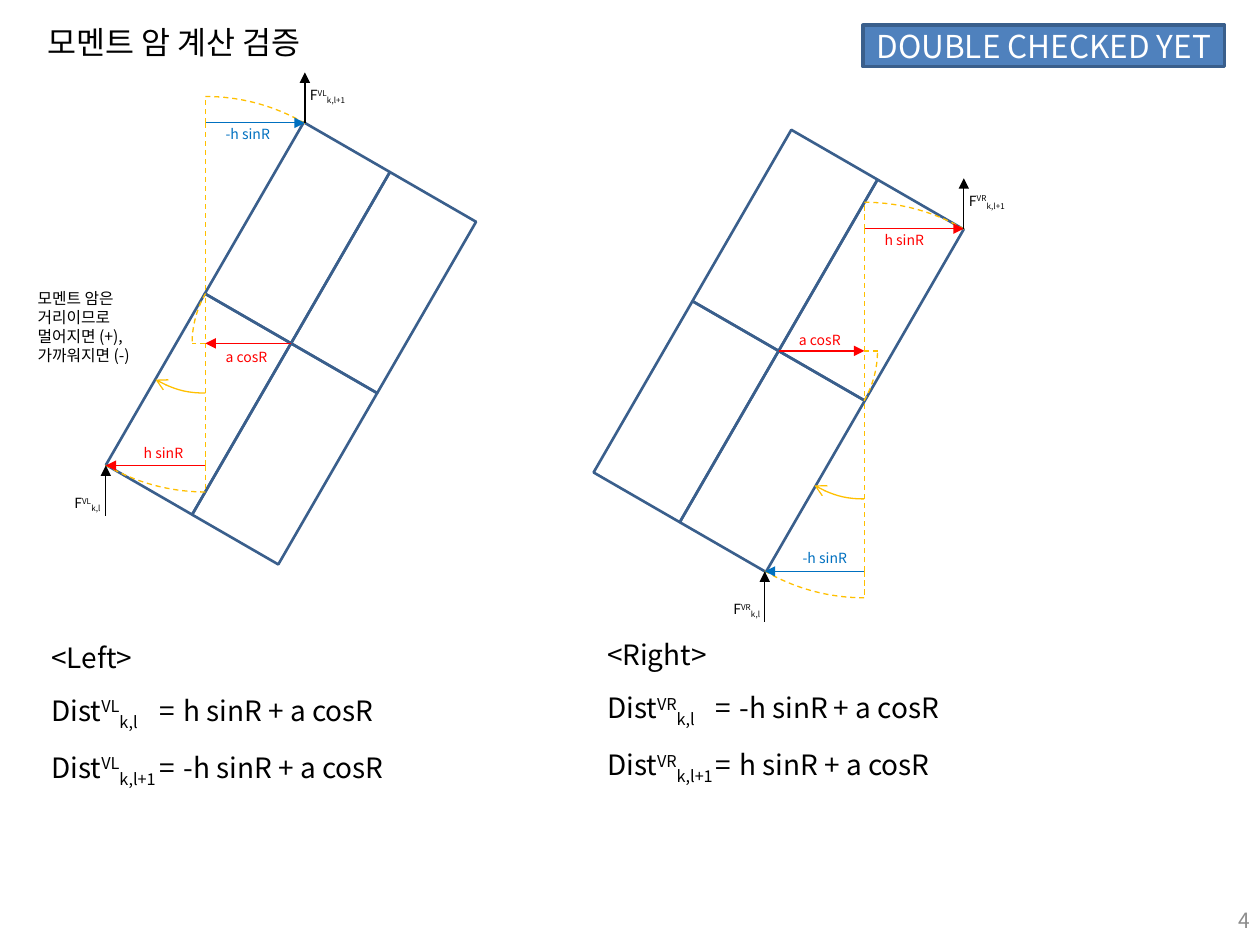
import collections
import math

import lxml.etree
import pptx
import pptx.dml.color
import pptx.enum.dml
import pptx.enum.shapes
import pptx.enum.text
import pptx.oxml.ns
import pptx.util

Inches = pptx.util.Inches
Box = collections.namedtuple("Box", "left top width height")
SHAPES = pptx.enum.shapes.MSO_SHAPE
ALIGN = pptx.enum.text.PP_ALIGN
FONT = "Noto Sans CJK KR"
BLACK, WHITE, GREY = "000000", "FFFFFF", "8C8C8C"
RED, BLUE, GOLD = "FF0000", "0070C0", "FFC000"
BADGE, NAVY = "4F81BD", "3A5F8C"
CELL_WIDTH, CELL_HEIGHT, TILT = 0.79, 1.57, 30
HINGE_X, HINGE_Y = 0.68, 0.39
ARM_X, ARM_Y, SHAFT = 0.79, 1.36, 0.4
LABEL_HEIGHT = 0.13


def color(value):
    """Turn a hex string into a colour."""
    return pptx.dml.color.RGBColor.from_string(value)


def add_child(parent, tag, **attributes):
    """Append a DrawingML element to a parent."""
    return lxml.etree.SubElement(parent, pptx.oxml.ns.qn(tag), attributes)


def format_span(span, size, tint, baseline=0):
    """Set the font, size, colour and baseline of a run."""
    span.font.name = FONT
    span.font.size = pptx.util.Pt(size)
    span.font.color.rgb = color(tint)
    properties = span.font._element
    add_child(properties, "a:ea", typeface=FONT)
    if baseline:
        properties.set("baseline", str(baseline * 1000))


def fill_para(para, parts, size, tint):
    """Write (text, baseline) parts into a paragraph."""
    for text, baseline in parts:
        span = para.add_run()
        span.text = text
        format_span(span, size, tint, baseline)


def add_text(page, box, text, size, tint=BLACK, wrap=True):
    """Add a text box with one formatted run."""
    frame = page.shapes.add_textbox(*map(Inches, box)).text_frame
    frame.word_wrap = wrap
    frame.text = text
    format_span(frame.paragraphs[0].runs[0], size, tint)
    return frame


def add_label(page, box, parts, tint):
    """Add a small tight one-line label made of (text, baseline) parts."""
    frame = page.shapes.add_textbox(*map(Inches, box)).text_frame
    frame.word_wrap = False
    frame.auto_size = pptx.enum.text.MSO_AUTO_SIZE.SHAPE_TO_FIT_TEXT
    frame.margin_left = frame.margin_right = Inches(0.04)
    frame.margin_top = frame.margin_bottom = 0
    fill_para(frame.paragraphs[0], parts, 8, tint)


def style_line(line, tint, width=0.75, dashed=False, arrow=None):
    """Set a line's colour, width, dash and (tag, type) arrowhead."""
    line.color.rgb = color(tint)
    line.width = pptx.util.Pt(width)
    if dashed:
        line.dash_style = pptx.enum.dml.MSO_LINE.DASH
    if arrow:
        add_child(line._get_or_add_ln(), arrow[0], type=arrow[1])


def add_line(page, start, end, tint, arrow=False):
    """Draw a solid arrow or a dashed guide."""
    line = page.shapes.add_connector(
        pptx.enum.shapes.MSO_CONNECTOR.STRAIGHT, *map(Inches, (*start, *end)))
    head = ("a:tailEnd", "triangle") if arrow else None
    style_line(line.line, tint, dashed=not arrow, arrow=head)
    add_child(line._element.spPr, "a:effectLst")


def add_outline(page, kind, center, width, height, turn):
    """Add an unfilled, mirrored and rotated shape about a centre."""
    shape = page.shapes.add_shape(
        kind, Inches(center[0] - width / 2), Inches(center[1] - height / 2),
        Inches(width), Inches(height))
    shape.shadow.inherit = False
    shape.fill.background()
    shape.rotation = turn
    shape._element.spPr.xfrm.set("flipH", "1")
    return shape


def add_arc(page, center, radius, turn, arrow=None):
    """Add a thirty degree arc, dashed unless it has an arrowhead."""
    arc = add_outline(page, SHAPES.ARC, center, 2 * radius, 2 * radius, turn)
    arc.adjustments[0] = 197.86
    arc.adjustments[1] = 0
    style_line(arc.line, GOLD, dashed=not arrow, arrow=arrow)


def add_cells(page, center):
    """Draw the tilted two by two grid of cells."""
    cos, sin = math.cos(math.radians(TILT)), math.sin(math.radians(TILT))
    for column, row in ((1, -1), (-1, -1), (1, 1), (-1, 1)):
        across, down = column * CELL_WIDTH / 2, row * CELL_HEIGHT / 2
        middle = (center[0] + across * cos - down * sin,
                  center[1] + across * sin + down * cos)
        cell = add_outline(page, SHAPES.RECTANGLE, middle, CELL_WIDTH, CELL_HEIGHT, TILT)
        style_line(cell.line, NAVY, 1.5)


def add_sweep(page, hinge, down, text, force):
    """Draw one lengthwise arm, its sweep and the force at its tip."""
    x, y = hinge
    side = 1 if down else -1
    level, tip = y + side * ARM_Y, x - side * ARM_X
    tint, width = (BLUE, 0.45) if text.startswith("-") else (RED, 0.41)
    add_arc(page, hinge, CELL_HEIGHT, 270 if down else 90)
    add_line(page, (x, level), (tip, level), tint, arrow=True)
    add_line(page, (x, level), hinge, GOLD)
    add_line(page, (x, level), (x, y + side * CELL_HEIGHT), GOLD)
    label_x, label_y = (x - 0.53, level - 0.17) if down else (x + 0.12, level + 0.02)
    add_label(page, Box(label_x, label_y, width, LABEL_HEIGHT), [(text, 0)], tint)
    head = level if down else level - SHAFT
    add_line(page, (tip, head + SHAFT), (tip, head), BLACK, arrow=True)
    index = "k,l" if down else "k,l+1"
    force_x, force_y = (tip - 0.29, head + 0.23) if down else (tip, head + 0.11)
    add_label(page, Box(force_x, force_y, 0.3 if down else 0.4, LABEL_HEIGHT),
              [("F", 0), (force, 30), (index, -25)], BLACK)


def add_cross_arm(page, center, side):
    """Draw the crosswise arm from the grid centre."""
    x, y = center
    edge = x + side * HINGE_X
    add_arc(page, center, CELL_HEIGHT / 2, 0 if side < 0 else 180)
    add_line(page, center, (edge, y), RED, arrow=True)
    add_line(page, (edge, y), (x + side * CELL_HEIGHT / 2, y), GOLD)
    label_x, label_y = (x - 0.56, y + 0.04) if side < 0 else (x + 0.12, y - 0.15)
    add_label(page, Box(label_x, label_y, 0.42, LABEL_HEIGHT), [("a cosR", 0)], RED)


def add_diagram(page, box, side, lower, upper, force):
    """Draw the cells, arms and forces of one side in a box."""
    center = (box.left + box.width / 2, box.top + box.height / 2)
    hinge = (center[0] + side * HINGE_X, center[1] + side * HINGE_Y)
    add_cells(page, center)
    add_sweep(page, hinge, True, lower, force)
    add_arc(page, hinge, CELL_HEIGHT / 2, 270, ("a:headEnd", "arrow"))
    add_cross_arm(page, center, side)
    add_sweep(page, hinge, False, upper, force)


def add_equations(page, box, heading, force, lower, upper):
    """Write the heading and the two distance equations."""
    frame = add_text(page, box, heading, 16)
    for index, term in (("k,l", lower), ("k,l+1", upper)):
        para = frame.add_paragraph()
        tabs = add_child(para._p.get_or_add_pPr(), "a:tabLst")
        for stop in (0.86, 1.05):
            add_child(tabs, "a:tab", pos=str(Inches(stop)), algn="l")
        parts = [("Dist", 0), (force, 30), (index, -25), (f"\t=\t{term} + a cosR", 0)]
        fill_para(para, parts, 16, BLACK)
    for para in frame.paragraphs:
        para.line_spacing = 1.5


def add_badge(page, box):
    """Add the status badge."""
    badge = page.shapes.add_shape(SHAPES.RECTANGLE, *map(Inches, box))
    badge.shadow.inherit = False
    badge.fill.solid()
    badge.fill.fore_color.rgb = color(BADGE)
    style_line(badge.line, NAVY, 2)
    frame = badge.text_frame
    frame.text = "DOUBLE CHECKED YET"
    frame.vertical_anchor = pptx.enum.text.MSO_ANCHOR.MIDDLE
    frame.paragraphs[0].alignment = ALIGN.CENTER
    format_span(frame.paragraphs[0].runs[0], 18, WHITE)


def main():
    """Build and save the slide."""
    deck = pptx.Presentation()
    deck.slide_width, deck.slide_height = Inches(10), Inches(7.5)
    page = deck.slides.add_slide(deck.slide_layouts[6])
    add_text(page, Box(0.28, 0.13, 2.49, 0.4), "모멘트 암 계산 검증", 18, wrap=False)
    add_badge(page, Box(6.85, 0.2, 2.87, 0.33))
    add_text(page, Box(0.2, 2.24, 1.03, 0.71),
             "모멘트 암은 거리이므로 멀어지면 (+), 가까워지면 (-)", 9)
    near, far = "h sinR", "-h sinR"
    add_diagram(page, Box(0.84, 0.97, 2.94, 3.51), -1, near, far, "VL")
    add_diagram(page, Box(4.71, 1.03, 2.94, 3.51), 1, far, near, "VR")
    add_equations(page, Box(0.31, 4.9, 3.12, 1.31), "<Left>", "VL", near, far)
    add_equations(page, Box(4.72, 4.88, 3.19, 1.31), "<Right>", "VR", far, near)
    number = add_text(page, Box(7.69, 7.1, 2.33, 0.4), "4", 12, GREY)
    number.vertical_anchor = pptx.enum.text.MSO_ANCHOR.MIDDLE
    number.paragraphs[0].alignment = ALIGN.RIGHT
    deck.save("out.pptx")


if __name__ == "__main__":
    main()
